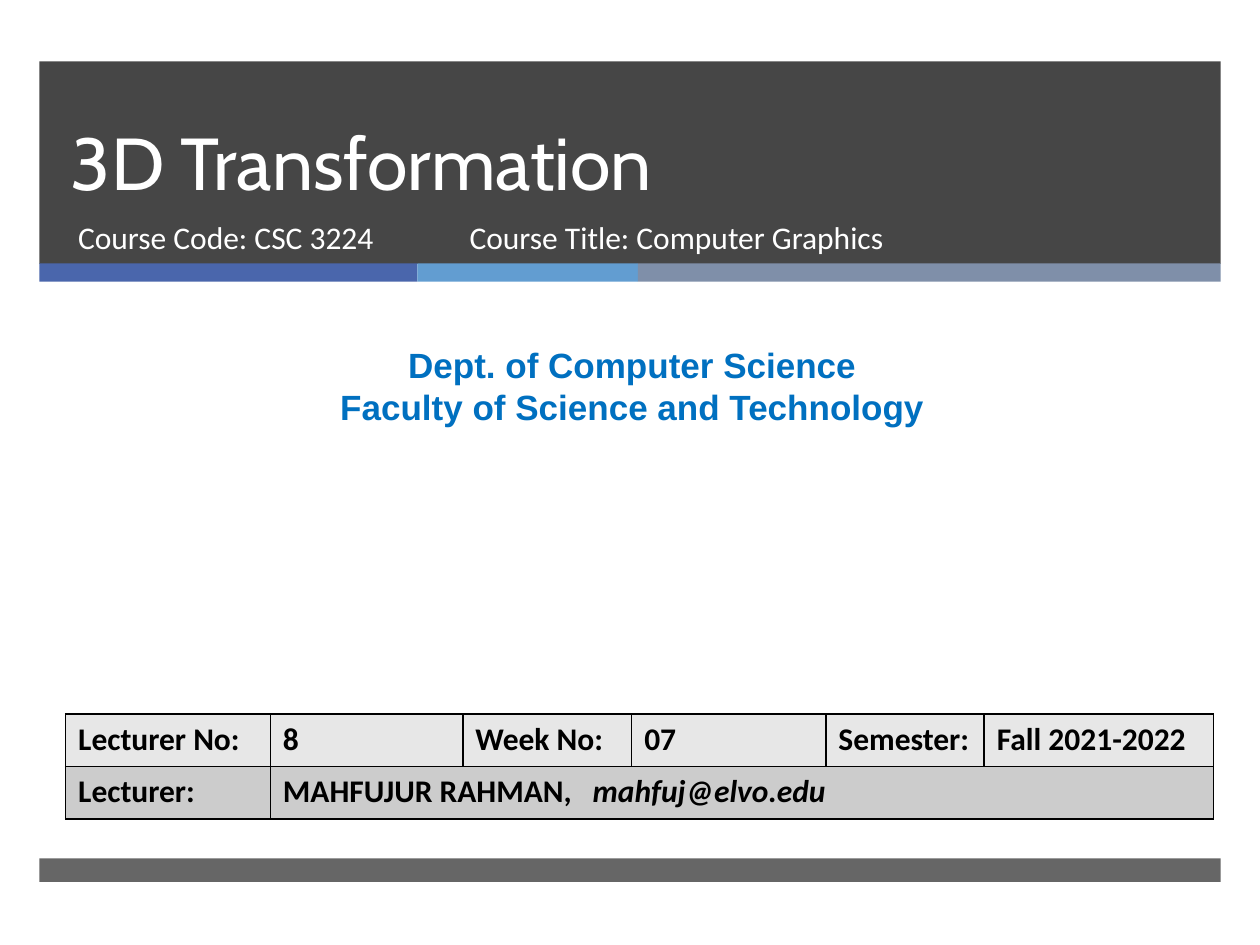
"""Builds the title slide of a lecture on 3D transformation."""
from lxml.etree import SubElement
from pptx import Presentation
from pptx.dml.color import RGBColor
from pptx.enum.shapes import MSO_SHAPE
from pptx.enum.text import MSO_ANCHOR, MSO_AUTO_SIZE, PP_ALIGN
from pptx.oxml import parse_xml
from pptx.oxml.ns import nsdecls, qn
from pptx.util import Pt


def set_color(color_format, color):
    color_format.rgb = RGBColor.from_string(color)


def format_runs(text_frame, font_name, size, color, bold=False):
    for paragraph in text_frame.paragraphs:
        for run in paragraph.runs:
            run.font.name = font_name
            run.font.size = Pt(size)
            run.font.bold = bold
            set_color(run.font.color, color)


presentation = Presentation()
presentation.slide_width, presentation.slide_height = Pt(720), Pt(540)
slide = presentation.slides.add_slide(presentation.slide_layouts[5])

bands = [
    (22.5, 35, 675, 115.75, "262626", 85),
    (22.5, 150.5, 216, 10.5, "4A66AC", 100),
    (238.5, 150.5, 126, 10.5, "629DD1", 100),
    (364.5, 150.5, 333, 10.5, "7F8FA9", 100),
    (22.5, 490.5, 675, 13.5, "262626", 70),
]
for left, top, width, height, color, opacity in bands:
    band = slide.shapes.add_shape(MSO_SHAPE.RECTANGLE, Pt(left), Pt(top), Pt(width), Pt(height))
    band.shadow.inherit = False
    band.line.fill.background()
    band.fill.solid()
    set_color(band.fill.fore_color, color)
    if opacity < 100:
        color_element = band.element.spPr.find(qn("a:solidFill"))[0]
        SubElement(color_element, qn("a:alpha"), val=str(opacity * 1000))

title = slide.shapes.title
title.left, title.top, title.width, title.height = Pt(33.25), Pt(35), Pt(615), Pt(86)
title.text_frame.text = "3D Transformation"
title.text_frame.auto_size = MSO_AUTO_SIZE.NONE
title.text_frame.vertical_anchor = MSO_ANCHOR.BOTTOM
title.text_frame.paragraphs[0].alignment = PP_ALIGN.LEFT
title.text_frame.paragraphs[0].line_spacing = Pt(46)
format_runs(title.text_frame, "Cabin", 42, "FFFFFF")
title.element.getparent().append(title.element)

for left, width, text in [
    (37.5, 220, "Course Code: CSC 3224"),
    (261.25, 328, "Course Title: Computer Graphics"),
]:
    course = slide.shapes.add_textbox(Pt(left), Pt(121), Pt(width), Pt(38))
    course.text_frame.word_wrap = True
    course.text_frame.text = text
    format_runs(course.text_frame, "Calibri", 18, "FFFFFF")

department = slide.shapes.add_textbox(Pt(6), Pt(193), Pt(710.5), Pt(55.5))
department.text_frame.word_wrap = True
department.text_frame.text = "Dept. of Computer Science\nFaculty of Science and Technology"
for paragraph in department.text_frame.paragraphs:
    paragraph.alignment = PP_ALIGN.CENTER
    paragraph.line_spacing = Pt(24)
format_runs(department.text_frame, "Arial", 20, "0070C0", bold=True)

rows = [
    ("E7E7E7", ["Lecturer No:", "8", "Week No:", "07", "Semester:", "Fall 2021-2022"]),
    ("CCCCCC", ["Lecturer:", "MAHFUJUR RAHMAN,", "", "", "", ""]),
]
column_widths = [117, 110, 96.5, 111, 90.5, 131]
table = slide.shapes.add_table(
    len(rows), len(column_widths), Pt(37.5), Pt(408), Pt(sum(column_widths)), Pt(60)
).table
for column, width in zip(table.columns, column_widths):
    column.width = Pt(width)
table.cell(1, 1).merge(table.cell(1, 5))

for row_index, (color, texts) in enumerate(rows):
    for column_index, text in enumerate(texts):
        cell = table.cell(row_index, column_index)
        cell_properties = cell._tc.get_or_add_tcPr()
        for side in "LRTB":
            cell_properties.append(parse_xml(
                f'<a:ln{side} {nsdecls("a")} w="12700"><a:solidFill>'
                f'<a:srgbClr val="000000"/></a:solidFill></a:ln{side}>'
            ))
        cell.fill.solid()
        set_color(cell.fill.fore_color, color)
        cell.text_frame.text = text

lecturer = table.cell(1, 1).text_frame.paragraphs[0]
email = lecturer.add_run()
email.text = "\tmahfuj@elvo.edu"
email.font.italic = True
tab_stops = SubElement(lecturer._p.get_or_add_pPr(), qn("a:tabLst"))
SubElement(tab_stops, qn("a:tab"), pos=str(Pt(177)), algn="l")
for cell in table.iter_cells():
    format_runs(cell.text_frame, "Calibri", 18, "000000", bold=True)

presentation.save("out.pptx")
